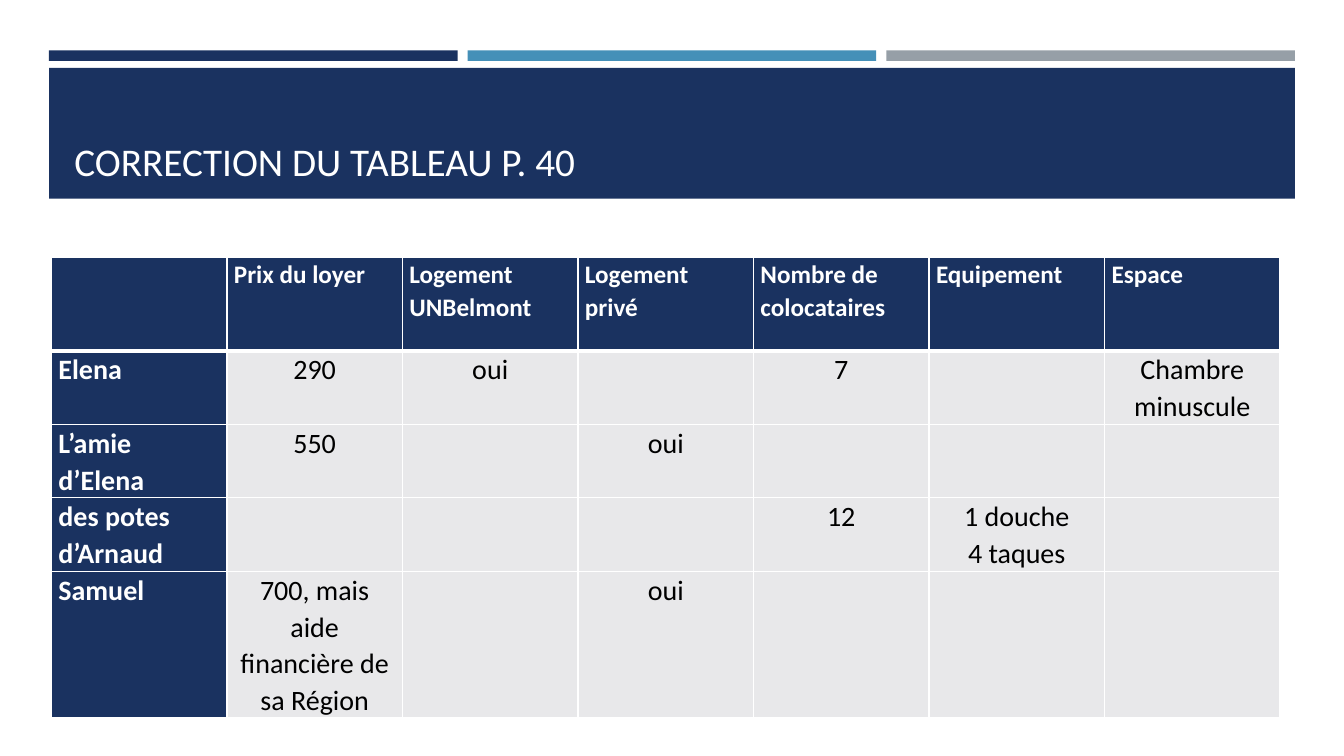
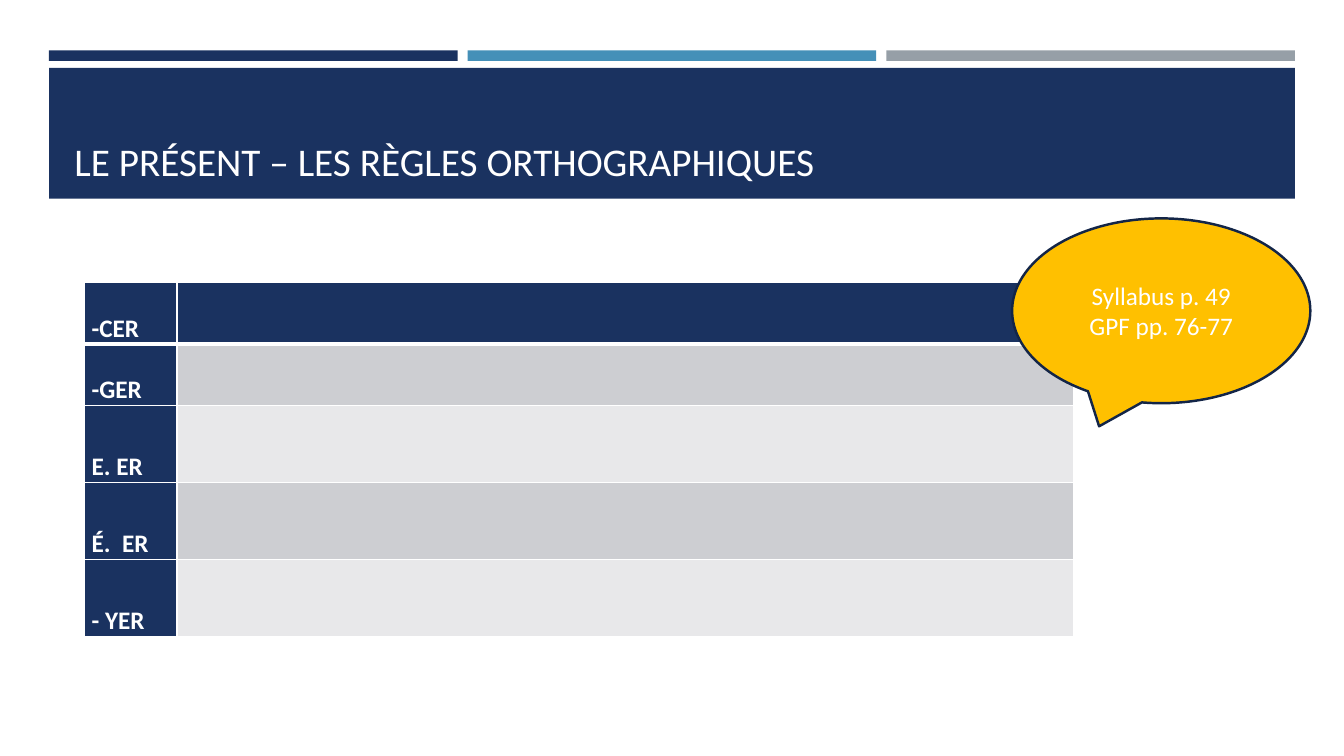
from dataclasses import dataclass
from typing import NamedTuple

from lxml.etree import SubElement
from pptx import Presentation
from pptx.dml.color import RGBColor as Color
from pptx.enum.shapes import MSO_SHAPE as Shape
from pptx.enum.text import MSO_ANCHOR as Anchor, MSO_AUTO_SIZE as AutoSize, PP_ALIGN as Align
from pptx.oxml import parse_xml
from pptx.oxml.ns import nsdecls, qn
from pptx.util import Pt


class Box(NamedTuple):
    left: float
    top: float
    width: float
    height: float

    def points(self):
        return [Pt(value) for value in self]


@dataclass(frozen=True)
class Theme:
    font: str = "Calibri"
    navy: str = "1A3260"
    blue: str = "4590B8"
    grey: str = "969FA7"
    light: str = "E8E8EA"
    medium: str = "CDCED2"
    gold: str = "FFC000"
    outline: str = "132547"
    white: str = "FFFFFF"
    black: str = "000000"
    title_size: int = 28
    body_size: int = 20
    label_size: int = 18
    thin: float = 1
    thick: float = 3


THEME = Theme()
TITLE_ONLY = 5
HEADER = Box(35, 36, 890, 106)
BAND_HEIGHT, BAND_GAP, PANEL_OFFSET = 7.5, 7.2, 12.5

HOUSING_ROWS = [
    ["", "Prix du loyer", "Logement UNBelmont", "Logement privé",
     "Nombre de colocataires", "Equipement", "Espace"],
    ["Elena", "290", "oui", "", "7", "", "Chambre minuscule"],
    ["L’amie d’Elena", "550", "", "oui", "", "", ""],
    ["des potes d’Arnaud", "", "", "", "12", "1 douche\n4 taques", ""],
    ["Samuel", "700, mais aide financière de sa Région", "", "oui", "", "", ""],
]
SPELLING_ENDINGS = ["-CER", "-GER", "E. ER", "É.  ER", "- YER"]


def style_text(text_frame, size, color, bold=False, align=Align.LEFT, spacing=None):
    for paragraph in text_frame.paragraphs:
        paragraph.alignment = align
        paragraph.line_spacing = spacing
        for run in paragraph.runs:
            run.font.name = THEME.font
            run.font.size = Pt(size)
            run.font.bold = bold
            run.font.color.rgb = Color.from_string(color)


def add_filled_shape(slide, kind, box, color):
    shape = slide.shapes.add_shape(kind, *box.points())
    shape.shadow.inherit = False
    shape.fill.solid()
    shape.fill.fore_color.rgb = Color.from_string(color)
    shape.line.fill.background()
    return shape


def build_header(slide, layout, box):
    """Draw the three bands and the title panel, then move them into the layout."""
    colors = [THEME.navy, THEME.blue, THEME.grey]
    width = (box.width - BAND_GAP * (len(colors) - 1)) / len(colors)
    shapes = [
        add_filled_shape(
            slide, Shape.RECTANGLE,
            Box(box.left + index * (width + BAND_GAP), box.top, width, BAND_HEIGHT), color)
        for index, color in enumerate(colors)
    ]
    panel = Box(box.left, box.top + PANEL_OFFSET, box.width, box.height - PANEL_OFFSET)
    shapes.append(add_filled_shape(slide, Shape.RECTANGLE, panel, THEME.navy))
    for index, shape in enumerate(shapes):
        shape.element.xpath(".//p:cNvPr")[0].set("id", str(100 + index))
        layout.shapes.element.insert(2 + index, shape.element)


def set_title(slide, text, box):
    title = slide.shapes.title
    title.left, title.top, title.width, title.height = Box(
        box.left + 11, box.top + 19.5, box.width - 22, 80).points()
    text_frame = title.text_frame
    text_frame.text = text
    text_frame.auto_size = AutoSize.NONE
    text_frame.vertical_anchor = Anchor.BOTTOM
    style_text(text_frame, THEME.title_size, THEME.white)


def set_cell_borders(cell, top, bottom):
    properties = cell._tc.get_or_add_tcPr()
    widths = {"lnL": THEME.thin, "lnR": THEME.thin, "lnT": top, "lnB": bottom}
    for index, (side, width) in enumerate(widths.items()):
        line = parse_xml(f'<a:{side} {nsdecls("a")} w="{Pt(width)}"/>')
        fill = SubElement(line, qn("a:solidFill"))
        SubElement(fill, qn("a:srgbClr"), val=THEME.white)
        properties.insert(index, line)


def add_grid(slide, left, top, column_widths, row_heights, row_fills):
    """Add a table with a navy first row and column; row_fills alternate below."""
    box = Box(left, top, sum(column_widths), sum(row_heights))
    table = slide.shapes.add_table(
        len(row_heights), len(column_widths), *box.points()).table
    for column, width in zip(table.columns, column_widths):
        column.width = Pt(width)
    for row_index, (row, height) in enumerate(zip(table.rows, row_heights)):
        row.height = Pt(height)
        for column_index, cell in enumerate(row.cells):
            is_heading = row_index == 0 or column_index == 0
            color = THEME.navy if is_heading else row_fills[(row_index - 1) % len(row_fills)]
            cell.fill.solid()
            cell.fill.fore_color.rgb = Color.from_string(color)
            cell.margin_left = cell.margin_right = Pt(5)
            cell.margin_top = cell.margin_bottom = 0
            set_cell_borders(
                cell,
                THEME.thick if row_index == 1 else THEME.thin,
                THEME.thick if row_index == 0 else THEME.thin)
    return table


def write_cell(cell, text, size, spacing, is_heading=True):
    if not text:
        return
    cell.text_frame.text = text
    style_text(
        cell.text_frame, size, THEME.white if is_heading else THEME.black,
        is_heading, Align.LEFT if is_heading else Align.CENTER, spacing)


def add_housing_table(slide, left, top):
    table = add_grid(slide, left, top, [125.4] * 7,
                     [67, 52.5, 52.5, 52.5, 104.5], [THEME.light])
    for row_index, texts in enumerate(HOUSING_ROWS):
        size = THEME.body_size if row_index else THEME.label_size
        for column_index, text in enumerate(texts):
            write_cell(table.cell(row_index, column_index), text, size, 1.07,
                       row_index == 0 or column_index == 0)


def add_spelling_table(slide, left, top):
    table = add_grid(slide, left, top, [66, 640.5],
                     [43.5, 43.5, 55, 55, 55], [THEME.medium, THEME.light])
    for row_index, ending in enumerate(SPELLING_ENDINGS):
        write_cell(table.cell(row_index, 0), ending, THEME.label_size,
                   2.0 if row_index < 2 else 2.5)


def add_reference_callout(slide, box):
    callout = add_filled_shape(slide, Shape.OVAL_CALLOUT, box, THEME.gold)
    callout.line.color.rgb = Color.from_string(THEME.outline)
    callout.line.width = Pt(1.75)
    text_frame = callout.text_frame
    text_frame.text = "Syllabus p. 49\nGPF pp. 76-77"
    text_frame.vertical_anchor = Anchor.MIDDLE
    style_text(text_frame, THEME.label_size, THEME.white, align=Align.CENTER)


def main():
    presentation = Presentation()
    presentation.slide_width, presentation.slide_height = Pt(960), Pt(540)
    layout = presentation.slide_layouts[TITLE_ONLY]

    housing = presentation.slides.add_slide(layout)
    build_header(housing, layout, HEADER)
    set_title(housing, "CORRECTION DU TABLEAU P. 40", HEADER)
    add_housing_table(housing, 36.7, 183.6)

    spelling = presentation.slides.add_slide(layout)
    set_title(spelling, "LE PRÉSENT – LES RÈGLES ORTHOGRAPHIQUES", HEADER)
    add_spelling_table(spelling, 60.5, 201.6)
    add_reference_callout(spelling, Box(723, 156, 213, 132))

    presentation.save("out.pptx")


if __name__ == "__main__":
    main()
